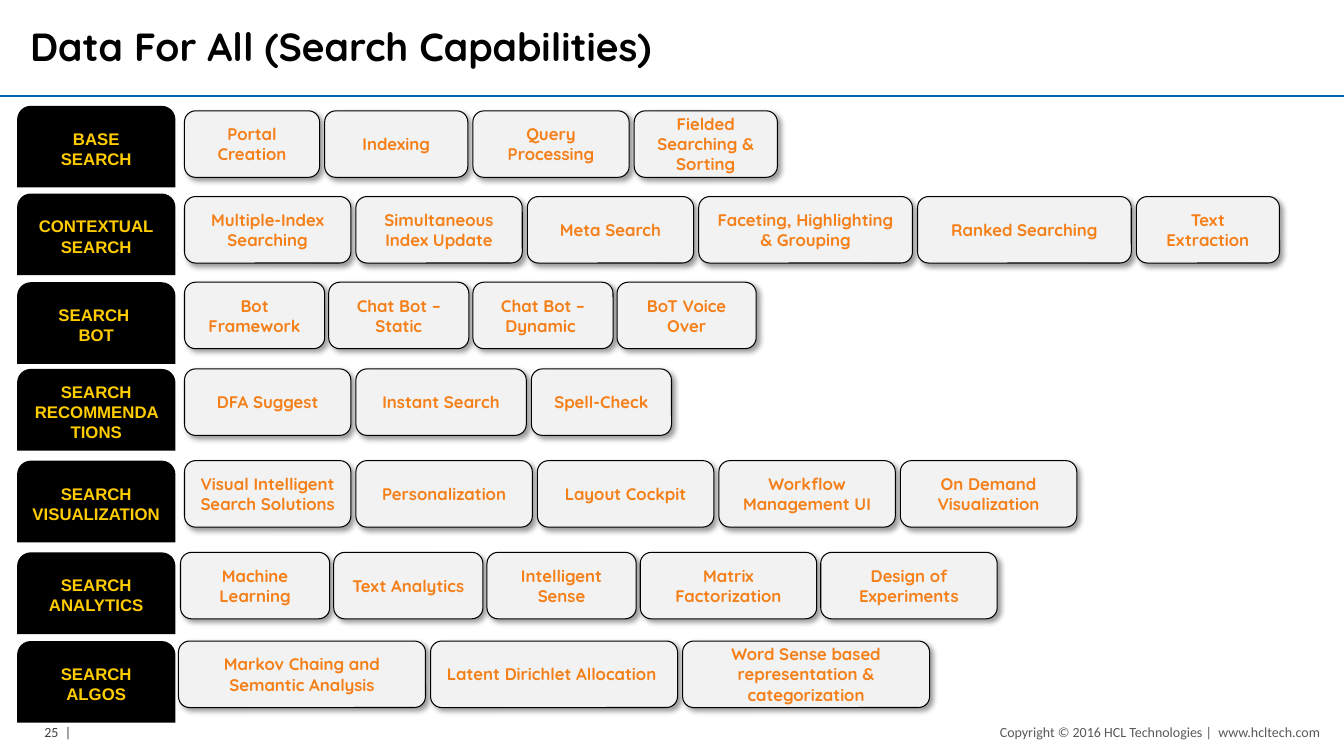
from lxml.etree import SubElement
from pptx import Presentation
from pptx.dml.color import RGBColor
from pptx.enum.shapes import MSO_CONNECTOR, MSO_SHAPE
from pptx.enum.text import MSO_ANCHOR, MSO_AUTO_SIZE, PP_ALIGN
from pptx.oxml.ns import qn
from pptx.util import Inches, Pt

LABEL_LEFT, LABEL_WIDTH, LABEL_HEIGHT = 0.17, 1.57, 0.81
CARD_HEIGHT = 0.66

# Label, label top, cards top, cards left, gap, [(card text, card width)]
ROWS = [
    ("BASE\nSEARCH", 1.05, 1.1, 1.83, 0.05,
     [("Portal\nCreation", 1.34), ("Indexing", 1.42), ("Query Processing", 1.55),
      ("Fielded Searching & Sorting", 1.42)]),
    ("CONTEXTUAL\vSEARCH", 1.92, 1.95, 1.83, 0.05,
     [("Multiple-Index Searching", 1.65), ("Simultaneous Index Update", 1.65),
      ("Meta Search", 1.65), ("Faceting, Highlighting & Grouping", 2.12),
      ("Ranked Searching", 2.12), ("Text Extraction", 1.42)]),
    ("SEARCH \nBOT", 2.8, 2.8, 1.83, 0.04,
     [("Bot Framework", 1.39), ("Chat Bot –Static", 1.39),
      ("Chat Bot –Dynamic ", 1.39), ("BoT Voice Over", 1.38)]),
    ("SEARCH\nRECOMMENDATIONS", 3.66, 3.66, 1.83, 0.05,
     [("DFA Suggest", 1.65), ("Instant Search", 1.69), ("Spell-Check", 1.39)]),
    ("SEARCH\nVISUALIZATION", 4.57, 4.57, 1.83, 0.05,
     [("Visual Intelligent Search Solutions", 1.65), ("Personalization", 1.75),
      ("Layout Cockpit", 1.75), ("Workflow Management UI", 1.75),
      ("On Demand Visualization", 1.75)]),
    ("SEARCH\nANALYTICS", 5.48, 5.48, 1.79, 0.04,
     [("Machine Learning", 1.48), ("Text Analytics", 1.48), ("Intelligent Sense", 1.48),
      ("Matrix Factorization", 1.75), ("Design of Experiments", 1.75)]),
    ("SEARCH\nALGOS", 6.36, 6.36, 1.77, 0.05,
     [("Markov Chaing and Semantic Analysis", 2.45), ("Latent Dirichlet Allocation ", 2.45),
      ("Word Sense based representation & categorization", 2.45)]),
]


def color(hex_string):
    return RGBColor.from_string(hex_string)


def write_text(shape, text, font, size, font_color, bold=False,
               align=PP_ALIGN.LEFT, inset=None, wrap=True):
    frame = shape.text_frame
    frame.text = text
    frame.word_wrap = wrap
    frame.auto_size = MSO_AUTO_SIZE.NONE
    frame.vertical_anchor = MSO_ANCHOR.MIDDLE
    if inset is not None:
        frame.margin_left = frame.margin_right = Inches(inset)
        frame.margin_top = frame.margin_bottom = Inches(inset)
    for paragraph in frame.paragraphs:
        paragraph.alignment = align
        paragraph.font.name = font
        paragraph.font.size = Pt(size)
        paragraph.font.bold = bold
        paragraph.font.color.rgb = color(font_color)


def add_box(slide, preset, left, top, width, height, fill):
    shape = slide.shapes.add_shape(
        preset, Inches(left), Inches(top), Inches(width), Inches(height))
    shape.shadow.inherit = False
    shape.fill.solid()
    shape.fill.fore_color.rgb = color(fill)
    return shape


def add_drop_shadow(shape):
    effects = shape._element.spPr.find(qn("a:effectLst"))
    shadow = SubElement(effects, qn("a:outerShdw"), blurRad=str(Pt(4)), dist=str(Pt(3)),
                        dir=str(45 * 60000), algn="tl", rotWithShape="0")
    shadow_color = SubElement(shadow, qn("a:srgbClr"), val="000000")
    SubElement(shadow_color, qn("a:alpha"), val="40000")


def add_label(slide, text, top):
    label = add_box(slide, MSO_SHAPE.ROUND_2_SAME_RECTANGLE,
                    LABEL_LEFT, top, LABEL_WIDTH, LABEL_HEIGHT, "000000")
    label.line.fill.background()
    write_text(label, text, "Arial", 12, "FFCC00", bold=True, align=PP_ALIGN.CENTER)


def add_cards(slide, left, top, gap, cards):
    for text, width in cards:
        card = add_box(slide, MSO_SHAPE.ROUNDED_RECTANGLE,
                       left, top, width, CARD_HEIGHT, "F2F2F2")
        card.line.color.rgb = color("000000")
        card.line.width = Pt(0)
        add_drop_shadow(card)
        write_text(card, text, "Quicksand", 12, "F57F18", bold=True, align=PP_ALIGN.CENTER)
        left += width + gap


def add_header(slide, left, top, width, height):
    title = slide.shapes.title
    title.left, title.top = Inches(left), Inches(top)
    title.width, title.height = Inches(width), Inches(height)
    write_text(title, "Data For All (Search Capabilities)", "Quicksand", 28, "000000",
               bold=True, inset=0.05)
    # Rule under the title
    rule_top = Inches(top + height + 0.3)
    rule = slide.shapes.add_connector(
        MSO_CONNECTOR.STRAIGHT, 0, rule_top, Inches(13.33), rule_top)
    rule.line.color.rgb = color("0066B3")
    rule.line.width = Pt(1.5)
    SubElement(rule._element.spPr, qn("a:effectLst"))


def add_footer(slide, top, height):
    notes = [
        ("25  |", 0.44, 0.29, "404040", PP_ALIGN.LEFT),
        ("Copyright © 2016 HCL Technologies |  www.hcltech.com", 9.85, 3.24,
         "595959", PP_ALIGN.RIGHT),
    ]
    for text, left, width, font_color, align in notes:
        box = slide.shapes.add_textbox(
            Inches(left), Inches(top), Inches(width), Inches(height))
        write_text(box, text, "Calibri", 10, font_color, align=align, inset=0, wrap=False)


def main():
    presentation = Presentation()
    presentation.slide_width = Inches(13.33)
    presentation.slide_height = Inches(7.5)
    slide = presentation.slides.add_slide(presentation.slide_layouts.get_by_name("Title Only"))

    add_header(slide, 0.25, 0.25, 13.08, 0.4)
    add_footer(slide, 7.18, 0.17)
    # Capability rows
    for label, label_top, cards_top, cards_left, gap, cards in ROWS:
        add_label(slide, label, label_top)
        add_cards(slide, cards_left, cards_top, gap, cards)

    presentation.save("out.pptx")


if __name__ == "__main__":
    main()
